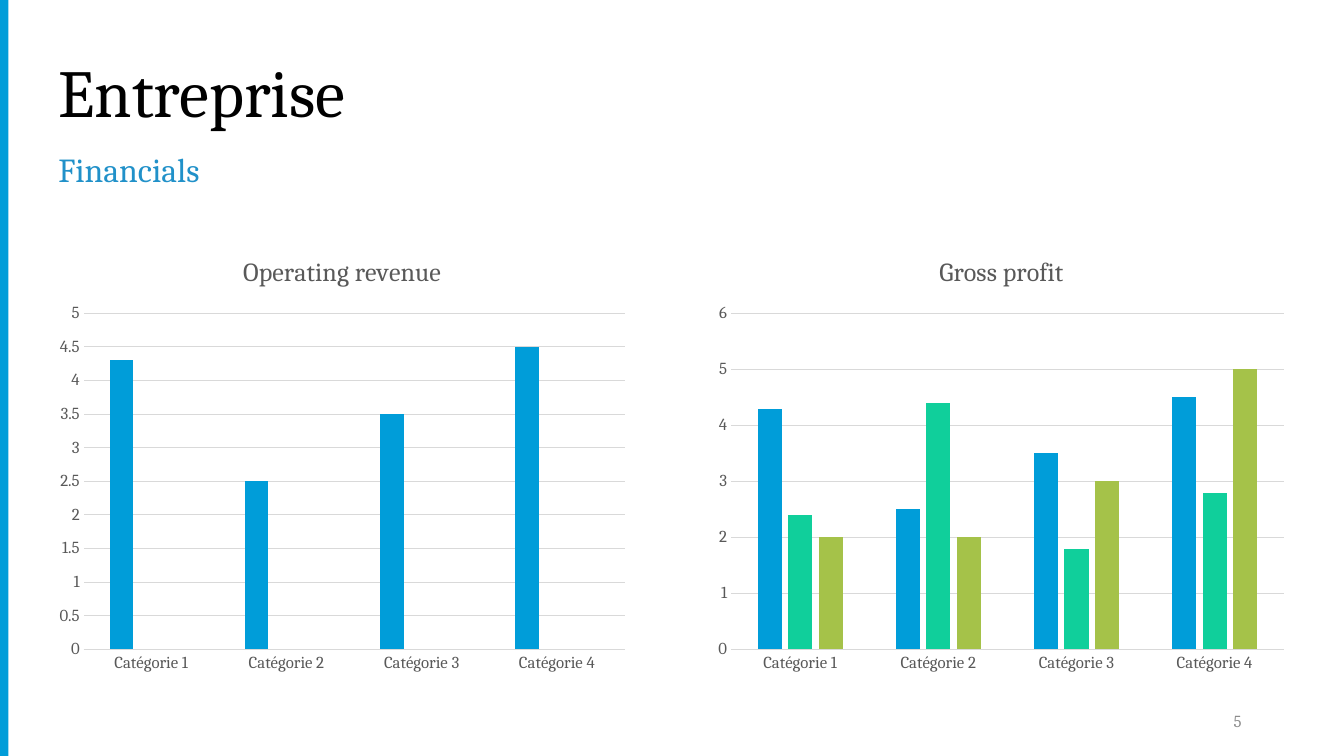
"""Build the financials slide with its two column charts."""
import dataclasses
import typing

import lxml.etree
import pptx
import pptx.chart.data
import pptx.dml.color
import pptx.enum.chart
import pptx.enum.shapes
import pptx.enum.text
import pptx.oxml
import pptx.oxml.ns
import pptx.util

Color = pptx.dml.color.RGBColor
BLUE = Color(0x00, 0x9D, 0xD9)
GREEN = Color(0x10, 0xCF, 0x9B)
OLIVE = Color(0xA5, 0xC2, 0x49)
HEADING_BLUE = Color(0x21, 0x91, 0xC9)
BLACK = Color(0x00, 0x00, 0x00)
AXIS_TEXT = Color(0x59, 0x59, 0x59)
NUMBER_GREY = Color(0x8C, 0x8C, 0x8C)
GRID_GREY = Color(0xD9, 0xD9, 0xD9)

FONT = "Cambria"
COLUMNS, ROWS = 160, 90
SLIDE_WIDTH = pptx.util.Inches(13.33)
SLIDE_HEIGHT = pptx.util.Inches(7.5)
CATEGORIES = [f"Catégorie {number}" for number in range(1, 5)]
SERIES_COLORS = (BLUE, GREEN, OLIVE)
EMPTY = (None,) * len(CATEGORIES)
REVENUE = (4.3, 2.5, 3.5, 4.5)

Format = dict[str, typing.Any]


@dataclasses.dataclass(frozen=True)
class Area:
    """A rectangle in grid columns and rows."""
    column: float
    row: float
    columns: float
    rows: float

    def box(self) -> tuple[int, ...]:
        """Return left, top, width and height in slide units."""
        return (
            round(SLIDE_WIDTH * self.column / COLUMNS),
            round(SLIDE_HEIGHT * self.row / ROWS),
            round(SLIDE_WIDTH * self.columns / COLUMNS),
            round(SLIDE_HEIGHT * self.rows / ROWS),
        )


@dataclasses.dataclass(frozen=True)
class Label:
    """A line of text with its formats."""
    text: str
    area: Area
    size: int
    color: Color
    paragraph: Format
    anchor: typing.Any = pptx.enum.text.MSO_ANCHOR.MIDDLE


@dataclasses.dataclass(frozen=True)
class Columns:
    """A column chart; plot holds shares of the chart's size."""
    title: str
    area: Area
    values: tuple[tuple[float | None, ...], ...]
    scale: Format
    plot: Format


LABELS = (
    Label("Financials", Area(5.76, 17.64, 138, 7.8), 24, HEADING_BLUE,
          {"line_spacing": 0.9, "space_before": pptx.util.Pt(10)},
          pptx.enum.text.MSO_ANCHOR.TOP),
    Label("Entreprise", Area(5.76, 4.8, 138, 13.2), 48, BLACK,
          {"line_spacing": 0.9}),
    Label("5", Area(113, 83.4, 36, 4.8), 12, NUMBER_GREY,
          {"alignment": pptx.enum.text.PP_ALIGN.RIGHT}),
)
CHARTS = (
    Columns("Operating revenue", Area(5.76, 28, 70, 53.2),
            (REVENUE, EMPTY, EMPTY),
            {"minimum_scale": 0, "maximum_scale": 5, "major_unit": 0.5},
            {"x": 0.06, "y": 0.175, "w": 0.92, "h": 0.752}),
    Columns("Gross profit", Area(84.24, 28, 70, 53.2),
            (REVENUE, (2.4, 4.4, 1.8, 2.8), (2, 2, 3, 5)),
            {"minimum_scale": 0, "maximum_scale": 6, "major_unit": 1},
            {"x": 0.04, "y": 0.175, "w": 0.94, "h": 0.752}),
)


def apply(target: typing.Any, formats: Format) -> None:
    """Set each named attribute on the target."""
    for name, value in formats.items():
        setattr(target, name, value)


def style_font(font: typing.Any, size: float, color: Color) -> None:
    """Set the face, size and colour of a font."""
    apply(font, {"name": FONT, "size": pptx.util.Pt(size), "bold": False})
    font.color.rgb = color


def style_line(line: typing.Any) -> None:
    """Draw a thin grey line."""
    line.color.rgb = GRID_GREY
    line.width = pptx.util.Pt(0.75)


def place(parent: typing.Any, target: str, shares: Format) -> None:
    """Give a chart part a manual layout in shares of the chart."""
    for old in parent.findall(pptx.oxml.ns.qn("c:layout")):
        parent.remove(old)
    layout = pptx.oxml.parse_xml(
        f'<c:layout {pptx.oxml.ns.nsdecls("c")}><c:manualLayout/></c:layout>')
    entries = {"xMode": "edge", "yMode": "edge", **shares}
    if target:
        entries = {"layoutTarget": target, **entries}
    for name, value in entries.items():
        entry = lxml.etree.SubElement(
            layout[0], pptx.oxml.ns.qn(f"c:{name}"))
        entry.set("val", str(value))
    parent.insert(0, layout)


def add_label(slide: typing.Any, label: Label) -> None:
    """Add one text box."""
    frame = slide.shapes.add_textbox(*label.area.box()).text_frame
    apply(frame, {"word_wrap": True, "vertical_anchor": label.anchor})
    paragraph = frame.paragraphs[0]
    apply(paragraph, label.paragraph)
    run = paragraph.add_run()
    run.text = label.text
    style_font(run.font, label.size, label.color)


def add_columns(slide: typing.Any, columns: Columns) -> None:
    """Add one clustered column chart."""
    data = pptx.chart.data.CategoryChartData()
    data.categories = CATEGORIES
    for number, values in enumerate(columns.values, 1):
        data.add_series(f"Series {number}", values)
    chart = slide.shapes.add_chart(
        pptx.enum.chart.XL_CHART_TYPE.COLUMN_CLUSTERED,
        *columns.area.box(), data).chart
    style_font(chart.font, 10, BLACK)
    apply(chart, {"has_legend": False, "has_title": True})
    title = chart.chart_title.text_frame
    title.text = columns.title
    style_font(title.paragraphs[0].runs[0].font, 18.6, AXIS_TEXT)

    plot = chart.plots[0]
    apply(plot, {"gap_width": 219, "overlap": -27,
                 "vary_by_categories": False})
    for series, color in zip(plot.series, SERIES_COLORS):
        series.format.fill.solid()
        series.format.fill.fore_color.rgb = color

    no_tick = pptx.enum.chart.XL_TICK_MARK.NONE
    for axis in (chart.category_axis, chart.value_axis):
        apply(axis, {"major_tick_mark": no_tick, "minor_tick_mark": no_tick})
        style_font(axis.tick_labels.font, 12, AXIS_TEXT)
    style_line(chart.category_axis.format.line)
    apply(chart.value_axis, {**columns.scale, "has_major_gridlines": True})
    chart.value_axis.format.line.fill.background()
    style_line(chart.value_axis.major_gridlines.format.line)
    plot_area = chart.element.find(".//" + pptx.oxml.ns.qn("c:plotArea"))
    place(plot_area, "inner", columns.plot)


def main() -> None:
    """Build and save the presentation."""
    presentation = pptx.Presentation()
    apply(presentation, {"slide_width": SLIDE_WIDTH,
                         "slide_height": SLIDE_HEIGHT})
    slide = presentation.slides.add_slide(presentation.slide_layouts[6])
    for columns in CHARTS:
        add_columns(slide, columns)
    for label in LABELS:
        add_label(slide, label)
    stripe = slide.shapes.add_shape(
        pptx.enum.shapes.MSO_SHAPE.RECTANGLE, *Area(0, 0, 1, ROWS).box())
    stripe.shadow.inherit = False
    stripe.fill.solid()
    stripe.fill.fore_color.rgb = BLUE
    stripe.line.fill.background()


    presentation.save("out.pptx")


if __name__ == "__main__":
    main()
